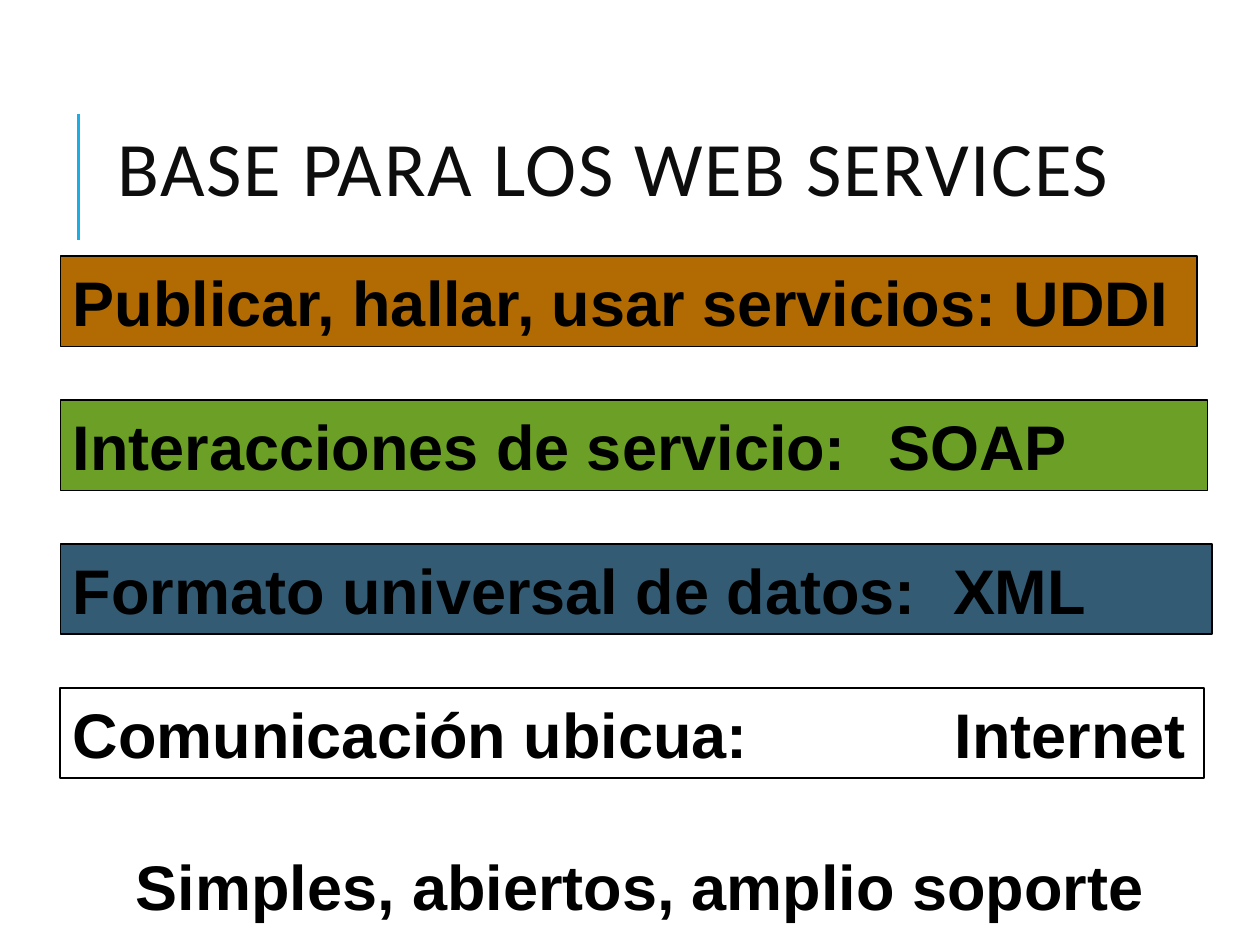
from pptx import Presentation
from pptx.dml.color import RGBColor
from pptx.enum.shapes import MSO_CONNECTOR, MSO_SHAPE
from pptx.enum.text import MSO_ANCHOR, PP_ALIGN
from pptx.oxml.ns import qn
from pptx.util import Pt
from lxml.etree import SubElement

LAYERS = [  # wording, fill, width, tab stop
    ("Publicar, hallar, usar servicios: UDDI", "B26B02", 649.5, None),
    ("Interacciones de servicio:\tSOAP", "6B9F25", 655.5, 466),
    ("Formato universal de datos:\tXML", "335B74", 658, 503),
    ("Comunicación ubicua:\tInternet", "FFFFFF", 653.5, 504),
]


def color(value):
    return RGBColor.from_string(value)


def write_text(shape, text, font="Arial", size=36, bold=True, fill="000000",
               align=PP_ALIGN.LEFT, wrap=True, line_spacing=None,
               letter_spacing=None, tab_stop=None):
    frame = shape.text_frame
    frame.word_wrap = wrap
    frame.vertical_anchor = MSO_ANCHOR.MIDDLE
    paragraph = frame.paragraphs[0]
    paragraph.alignment = align
    if line_spacing:
        paragraph.line_spacing = line_spacing
    if tab_stop:
        tabs = SubElement(paragraph._p.get_or_add_pPr(), qn("a:tabLst"))
        SubElement(tabs, qn("a:tab"), pos=str(Pt(tab_stop)), algn="l")
    run = paragraph.add_run()
    run.text = text
    run.font.name = font
    run.font.size = Pt(size)
    run.font.bold = bold
    run.font.color.rgb = color(fill)
    if letter_spacing:
        run._r.get_or_add_rPr().set("spc", str(letter_spacing * 100))


def add_heading(slide, left, top, width, height):
    # Accent rule beside the title
    rule = slide.shapes.add_connector(
        MSO_CONNECTOR.STRAIGHT, Pt(left), Pt(top + height), Pt(left), Pt(top))
    rule.line.color.rgb = color("1CADE4")
    rule.line.width = Pt(1.5)
    SubElement(rule._element.spPr, qn("a:effectLst"))
    # Title
    title = slide.shapes.add_textbox(
        Pt(left + 15), Pt(top + 5), Pt(width - 15), Pt(59))
    write_text(title, "BASE PARA LOS WEB SERVICES", font="Calibri", size=44,
               bold=False, fill="0D0D0D", line_spacing=0.8, letter_spacing=1)


def add_layers(slide, left, top, height, pitch):
    for index, (text, fill, width, tab_stop) in enumerate(LAYERS):
        bar = slide.shapes.add_shape(
            MSO_SHAPE.RECTANGLE, Pt(left), Pt(top + index * pitch),
            Pt(width), Pt(height))
        bar.shadow.inherit = False
        bar.fill.solid()
        bar.fill.fore_color.rgb = color(fill)
        bar.line.color.rgb = color("000000")
        bar.line.width = Pt(1)
        bar.text_frame.margin_right = 0
        write_text(bar, text, tab_stop=tab_stop)


def add_summary(slide, left, top, width, height):
    box = slide.shapes.add_textbox(Pt(left), Pt(top), Pt(width), Pt(height))
    write_text(box, "Simples, abiertos, amplio soporte",
               align=PP_ALIGN.CENTER, wrap=False)


def main():
    presentation = Presentation()
    presentation.slide_width = Pt(720)
    presentation.slide_height = Pt(540)
    slide = presentation.slides.add_slide(presentation.slide_layouts[6])
    add_heading(slide, 45, 65, 709, 72)
    add_layers(slide, 34.5, 146.5, 51.5, 82.25)
    add_summary(slide, 70.5, 480.5, 590.5, 50.5)
    presentation.save("out.pptx")


if __name__ == "__main__":
    main()
